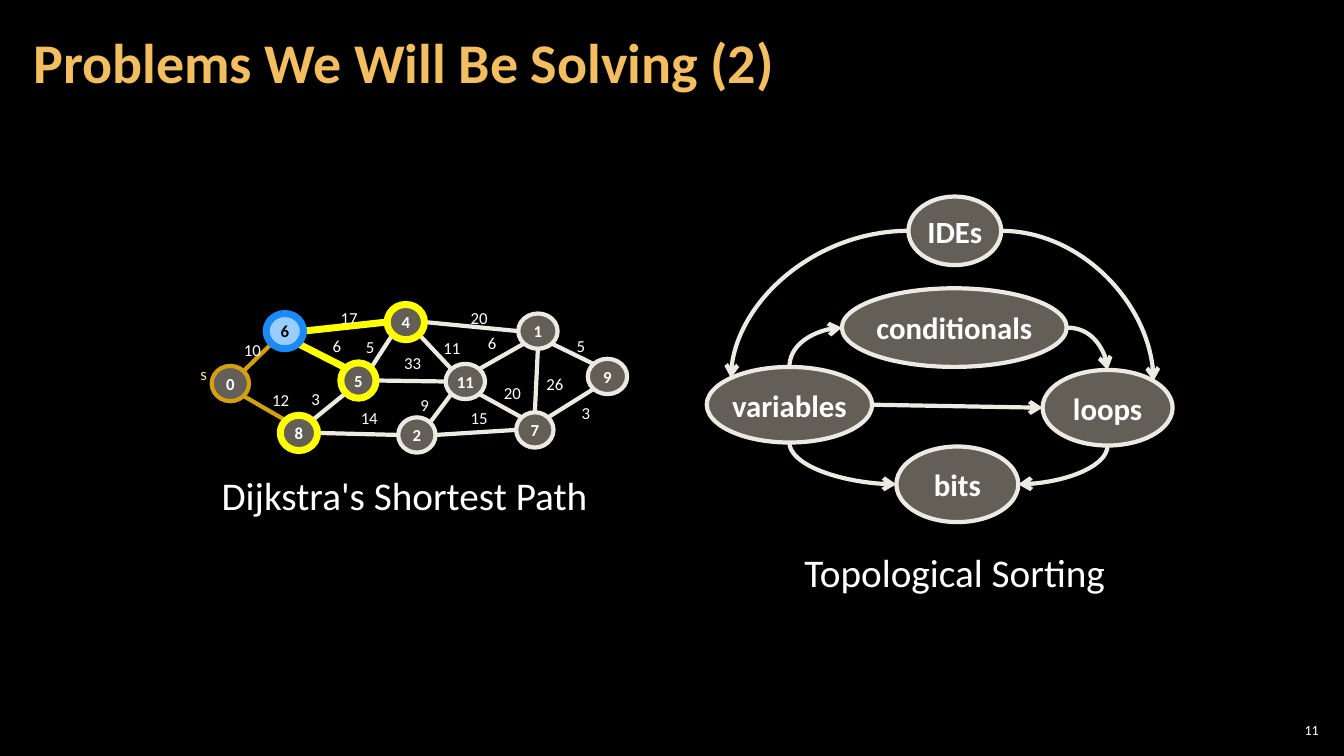
from dataclasses import dataclass
from math import cos, radians, sin

from lxml import etree
from pptx import Presentation
from pptx.dml.color import RGBColor
from pptx.enum.shapes import MSO_CONNECTOR, MSO_SHAPE
from pptx.enum.text import MSO_ANCHOR, MSO_AUTO_SIZE, PP_ALIGN
from pptx.oxml.ns import qn
from pptx.util import Inches, Pt

STRAIGHT, CURVE = MSO_CONNECTOR.STRAIGHT, MSO_CONNECTOR.CURVE
ELLIPSE = MSO_SHAPE.OVAL
MIDDLE = MSO_ANCHOR.MIDDLE
FIT_SHAPE, NO_FIT = MSO_AUTO_SIZE.SHAPE_TO_FIT_TEXT, MSO_AUTO_SIZE.NONE
LEFT, CENTER, RIGHT = PP_ALIGN.LEFT, PP_ALIGN.CENTER, PP_ALIGN.RIGHT


@dataclass(frozen=True)
class Theme:
    font: str = "Calibri"
    background: str = "000000"
    text: str = "FFFFFF"
    title: str = "F3BE60"
    node: str = "C7BFAC"
    line: str = "ECEAE3"
    frontier: str = "FFFF00"
    visited: str = "D2A010"
    current: str = "97CEFB"
    current_line: str = "1A8AFA"
    source: str = "F8E19F"
    title_size: int = 40
    caption_size: int = 28
    topic_size: int = 22
    graph_size: int = 12
    page_size: int = 10
    thin: int = 3
    thick: int = 5


THEME = Theme()

TOP, TOP_LEFT, SIDE_LEFT, BOTTOM_LEFT, BOTTOM, BOTTOM_RIGHT, SIDE_RIGHT, TOP_RIGHT = range(8)

GRAPH_NODES = {
    "11": (2.53, 0.61, 0.39), "1": (3.25, 0.11, 0.39), "4": (1.95, 0.02, 0.37),
    "5": (1.49, 0.6, 0.35), "2": (2.06, 1.14, 0.37), "7": (3.23, 1.09, 0.37),
    "6": (0.75, 0.11, 0.37), "9": (3.94, 0.56, 0.39), "0": (0.21, 0.63, 0.37),
    "8": (0.89, 1.12, 0.37),
}
FRONTIER_STYLE = (THEME.node, THEME.frontier, THEME.thick, THEME.text)
PLAIN_STYLE = (THEME.node, THEME.line, THEME.thin, THEME.text)
NODE_STYLES = {
    "4": FRONTIER_STYLE, "5": FRONTIER_STYLE, "8": FRONTIER_STYLE,
    "6": (THEME.current, THEME.current_line, THEME.thick, THEME.background),
    "0": (THEME.node, THEME.visited, THEME.thin, THEME.text),
}
GRAPH_EDGES = [
    ("11", TOP_RIGHT, "1", BOTTOM_LEFT), ("4", SIDE_RIGHT, "1", SIDE_LEFT),
    ("11", TOP_LEFT, "4", BOTTOM_RIGHT), ("5", SIDE_RIGHT, "11", SIDE_LEFT),
    ("4", BOTTOM_LEFT, "5", TOP_RIGHT), ("6", SIDE_RIGHT, "4", SIDE_LEFT),
    ("5", TOP_LEFT, "6", BOTTOM_RIGHT), ("11", BOTTOM_RIGHT, "7", TOP_LEFT),
    ("2", SIDE_LEFT, "8", SIDE_RIGHT), ("5", BOTTOM_LEFT, "8", TOP_RIGHT),
    ("2", TOP_RIGHT, "11", BOTTOM_LEFT), ("0", TOP_RIGHT, "6", BOTTOM_LEFT),
    ("7", TOP, "1", BOTTOM), ("7", SIDE_LEFT, "2", SIDE_RIGHT),
    ("0", BOTTOM_RIGHT, "8", TOP_LEFT), ("9", TOP_LEFT, "1", BOTTOM_RIGHT),
    ("9", BOTTOM_LEFT, "7", TOP_RIGHT),
]
EDGE_STYLES = {
    ("6", "4"): (THEME.frontier, THEME.thick), ("5", "6"): (THEME.frontier, THEME.thick),
    ("0", "6"): (THEME.visited, THEME.thin), ("0", "8"): (THEME.visited, THEME.thin),
}
WEIGHTS = [
    ("10", 0.43, 0.32), ("12", 0.71, 0.82), ("17", 1.39, 0), ("6", 1.31, 0.28),
    ("33", 2.02, 0.45), ("20", 2.68, 0), ("6", 2.85, 0.25), ("26", 3.43, 0.66),
    ("20", 3.01, 0.75), ("14", 1.59, 1), ("15", 2.68, 1), ("9", 2.18, 0.87),
    ("3", 1.1, 0.81), ("5", 1.64, 0.29), ("11", 2.41, 0.3), ("5", 3.73, 0.28),
    ("3", 3.78, 0.95),
]
TOPICS = {
    "variables": (0, 1.69, 1.64, 0.75), "IDEs": (2, 0, 0.92, 0.68),
    "conditionals": (1.34, 0.91, 2.23, 0.78), "loops": (3.33, 1.72, 1.29, 0.75),
    "bits": (1.88, 2.48, 1.21, 0.75),
}
TOPIC_ARROWS = [
    (STRAIGHT, "variables", SIDE_RIGHT, "loops", SIDE_LEFT, "tailEnd"),
    (CURVE, "IDEs", SIDE_LEFT, "variables", TOP_LEFT, "tailEnd"),
    (CURVE, "IDEs", SIDE_RIGHT, "loops", TOP_RIGHT, "tailEnd"),
    (CURVE, "conditionals", SIDE_RIGHT, "loops", TOP, "tailEnd"),
    (CURVE, "bits", SIDE_RIGHT, "loops", BOTTOM, "headEnd"),
    (CURVE, "bits", SIDE_LEFT, "variables", BOTTOM, "headEnd"),
    (CURVE, "conditionals", SIDE_LEFT, "variables", TOP, "headEnd"),
]


def write(shape, text, size, color=THEME.text, bold=False, align=LEFT):
    shape.text_frame.text = text
    paragraph = shape.text_frame.paragraphs[0]
    paragraph.alignment = align
    paragraph.font.name = THEME.font
    paragraph.font.size = Pt(size)
    paragraph.font.bold = bold
    paragraph.font.color.rgb = RGBColor.from_string(color)
    return paragraph


def set_margins(frame, horizontal, vertical):
    frame.margin_left = frame.margin_right = Inches(horizontal)
    frame.margin_top = frame.margin_bottom = Inches(vertical)


def add_text(shapes, box, text, size, color=THEME.text, wrap=True, fit=FIT_SHAPE, align=LEFT):
    text_box = shapes.add_textbox(*map(Inches, box))
    text_box.text_frame.word_wrap = wrap
    text_box.text_frame.auto_size = fit
    write(text_box, text, size, color, align=align)
    return text_box


def add_node(shapes, box, text, size, style, margins):
    fill, line, width, color = style
    node = shapes.add_shape(ELLIPSE, *map(Inches, box))
    node.shadow.inherit = False
    node.fill.solid()
    node.fill.fore_color.rgb = RGBColor.from_string(fill)
    if fill == THEME.node:
        color_element = node._element.spPr.find(qn("a:solidFill"))[0]
        etree.SubElement(color_element, qn("a:alpha")).set("val", "50000")
    node.line.color.rgb = RGBColor.from_string(line)
    node.line.width = Pt(width)
    node.text_frame.word_wrap = False
    node.text_frame.vertical_anchor = MIDDLE
    set_margins(node.text_frame, *margins)
    write(node, text, size, color, bold=True, align=CENTER)
    return node


def site_point(node, site):
    angle = radians(90 + 45 * site)
    return (round(node.left + node.width / 2 * (1 + cos(angle))),
            round(node.top + node.height / 2 * (1 - sin(angle))))


def join(shapes, kind, start, start_site, end, end_site, color, width):
    connector = shapes.add_connector(
        kind, *site_point(start, start_site), *site_point(end, end_site))
    connector.line.color.rgb = RGBColor.from_string(color)
    connector.line.width = Pt(width)
    element = connector._element
    etree.SubElement(element.spPr, qn("a:effectLst"))
    if kind == CURVE:
        element.spPr.find(qn("a:prstGeom")).set("prst", "curvedConnector2")
    joints = element.nvCxnSpPr.cNvCxnSpPr
    for tag, node, site in (("a:stCxn", start, start_site), ("a:endCxn", end, end_site)):
        joint = etree.SubElement(joints, qn(tag))
        joint.set("id", str(node.shape_id))
        joint.set("idx", str(site))
    return connector


def add_title(slide, box):
    title = slide.shapes.title
    title.left, title.top, title.width, title.height = map(Inches, box)
    title.text_frame.vertical_anchor = MIDDLE
    title.text_frame.auto_size = NO_FIT
    set_margins(title.text_frame, 0.12, 0.04)
    paragraph = write(title, "Problems We Will Be Solving (2)", THEME.title_size, THEME.title, bold=True)
    paragraph.line_spacing = 0.9


def add_page_number(slide, box):
    number = add_text(slide.shapes, box, "11", THEME.page_size, fit=NO_FIT, align=RIGHT)
    number.text_frame.vertical_anchor = MIDDLE
    set_margins(number.text_frame, 0.04, 0.04)


def add_shortest_path(slide, left, top):
    group = slide.shapes.add_group_shape()
    shapes = group.shapes
    nodes = {}
    for name, (x, y, width) in GRAPH_NODES.items():
        nodes[name] = add_node(shapes, (left + x, top + y, width, 0.35), name, THEME.graph_size,
                               NODE_STYLES.get(name, PLAIN_STYLE), (0.04, 0.05))
    for start, start_site, end, end_site in GRAPH_EDGES:
        style = EDGE_STYLES.get((start, end), (THEME.line, THEME.thin))
        edge = join(shapes, STRAIGHT, nodes[start], start_site, nodes[end], end_site, *style)
        group._element.insert(2, edge._element)
    for weight, x, y in WEIGHTS:
        width = 0.37 if len(weight) == 2 else 0.29
        add_text(shapes, (left + x, top + y, width, 0.3), weight, THEME.graph_size, wrap=False)
    add_text(shapes, (left, top + 0.56, 0.27, 0.3), "s", THEME.graph_size, THEME.source, wrap=False)
    add_text(shapes, (left + 0.21, top + 1.63, 4.12, 0.57), "Dijkstra's Shortest Path", THEME.caption_size)


def add_topological_sorting(slide, left, top):
    shapes = slide.shapes.add_group_shape().shapes
    topics = {}
    for name, (x, y, width, height) in TOPICS.items():
        topics[name] = add_node(shapes, (left + x, top + y, width, height), name,
                                THEME.topic_size, PLAIN_STYLE, (0, 0))
    for kind, start, start_site, end, end_site, arrow_end in TOPIC_ARROWS:
        arrow = join(shapes, kind, topics[start], start_site, topics[end], end_site, THEME.line, THEME.thin)
        etree.SubElement(arrow.line._get_or_add_ln(), qn(f"a:{arrow_end}")).set("type", "arrow")
    add_text(slide.shapes, (left + 0.87, top + 3.44, 3.27, 0.57), "Topological Sorting", THEME.caption_size)


def main():
    presentation = Presentation()
    presentation.slide_width, presentation.slide_height = Inches(13.33), Inches(7.5)
    slide = presentation.slides.add_slide(presentation.slide_layouts[5])
    slide.background.fill.solid()
    slide.background.fill.fore_color.rgb = RGBColor.from_string(THEME.background)
    add_title(slide, (0.21, 0.04, 10.47, 1.21))
    add_topological_sorting(slide, 7.01, 1.95)
    add_shortest_path(slide, 1.89, 3)
    add_page_number(slide, (12.65, 7.14, 0.47, 0.21))
    presentation.save("out.pptx")


if __name__ == "__main__":
    main()
